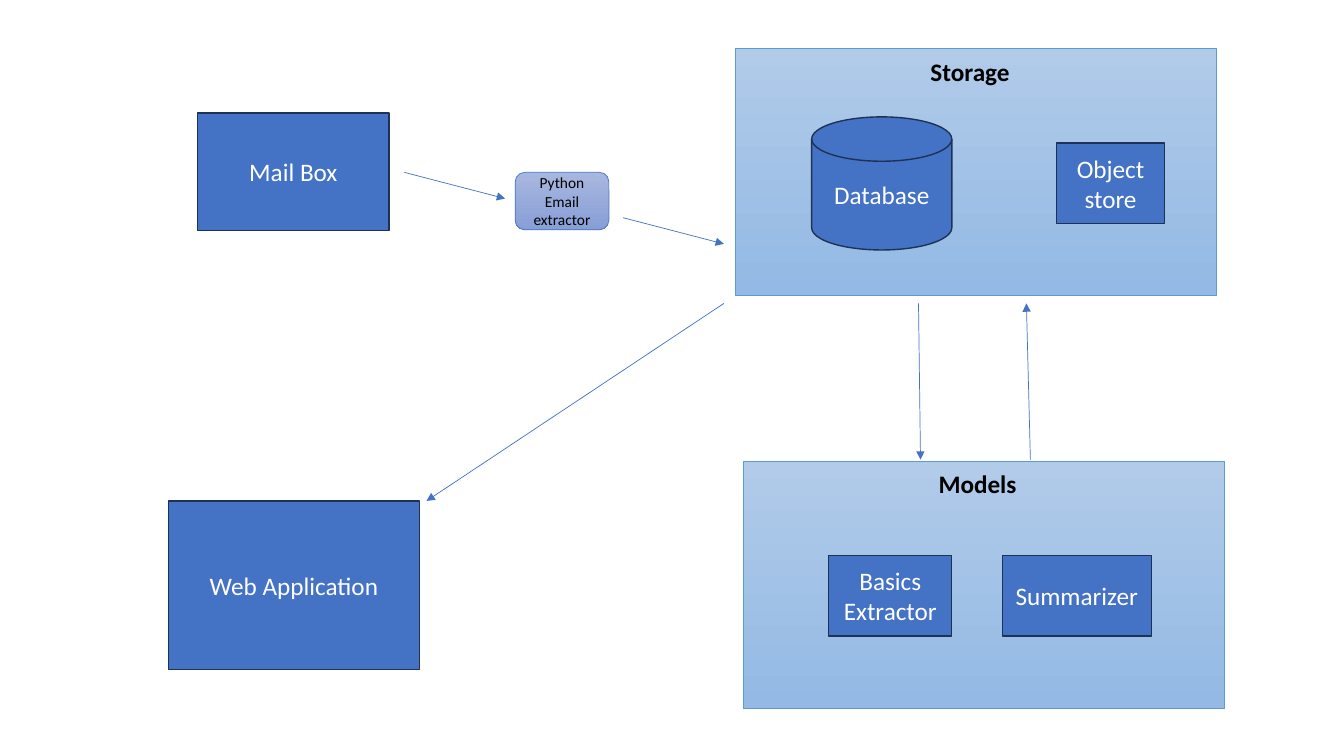
from lxml import etree
from pptx import Presentation
from pptx.dml.color import RGBColor
from pptx.enum.shapes import MSO_CONNECTOR, MSO_SHAPE
from pptx.enum.text import MSO_ANCHOR, PP_ALIGN
from pptx.oxml.ns import qn
from pptx.util import Inches, Pt

RECTANGLE = MSO_SHAPE.RECTANGLE
CYLINDER = MSO_SHAPE.FLOWCHART_MAGNETIC_DISK
ROUNDED = MSO_SHAPE.FLOWCHART_ALTERNATE_PROCESS
STRAIGHT = MSO_CONNECTOR.STRAIGHT
CENTER, LEFT = PP_ALIGN.CENTER, PP_ALIGN.LEFT
MIDDLE, TOP = MSO_ANCHOR.MIDDLE, MSO_ANCHOR.TOP

BLUE = "4472C4"
FONT = "Calibri"

# Fill holds one colour, or the top and bottom colours of a gradient
STYLES = {
    "panel": {"fill": ["B1CBE9", "93B9E4"], "line": "5B9BD5", "width": 0.5},
    "node": {"fill": [BLUE], "line": "1E3256", "width": 1,
             "font": {"size": Pt(18)}, "color": "FFFFFF"},
    "step": {"fill": ["A8B7DF", "889ED7"], "line": BLUE, "width": 0.5,
             "font": {"size": Pt(11)}, "color": "000000"},
}
HEADING_FONT = {"size": Pt(18), "bold": True}

PANEL_SIZE = (4.77, 2.45)
HEADING_SIZE = (1.09, 0.4)
# Heading, panel position, heading position
PANELS = [
    ("Storage", (7.29, 0.48), (9.13, 0.51)),
    ("Models", (7.37, 4.58), (9.21, 4.6)),
]

# Text, style, preset, (left, top, width, height)
NODES = [
    ("Mail Box", "node", RECTANGLE, (1.96, 1.12, 1.9, 1.17)),
    ("Database", "node", CYLINDER, (8.05, 1.16, 1.39, 1.32)),
    ("Object store", "node", RECTANGLE, (10.48, 1.42, 1.07, 0.8)),
    ("Basics Extractor", "node", RECTANGLE, (8.22, 5.51, 1.22, 0.8)),
    ("Summarizer", "node", RECTANGLE, (9.94, 5.51, 1.48, 0.8)),
    ("Web Application", "node", RECTANGLE, (1.67, 4.97, 2.49, 1.67)),
    ("Python Email extractor", "step", ROUNDED, (5.11, 1.71, 0.93, 0.57)),
]

# Start x, start y, end x, end y
ARROWS = {
    "mail box to extractor": (4.01, 1.71, 5.01, 1.97),
    "extractor to storage": (6.18, 2.16, 7.18, 2.42),
    "storage to models": (9.11, 3.01, 9.13, 4.56),
    "models to storage": (10.22, 4.56, 10.18, 3.01),
    "storage to web application": (7.18, 3.01, 4.23, 4.97),
}


def rgb(value):
    return RGBColor.from_string(value)


def inches(values):
    return [Inches(value) for value in values]


def write(shape, text, font_format, color, alignment, anchor):
    frame = shape.text_frame
    frame.word_wrap = True
    frame.vertical_anchor = anchor
    paragraph = frame.paragraphs[0]
    paragraph.alignment = alignment
    run = paragraph.add_run()
    run.text = text
    run.font.name = FONT
    run.font.color.rgb = rgb(color)
    for name, value in font_format.items():
        setattr(run.font, name, value)


def add_box(slide, preset, bounds, style):
    shape = slide.shapes.add_shape(preset, *inches(bounds))
    shape.shadow.inherit = False
    colors = style["fill"]
    if len(colors) == 1:
        shape.fill.solid()
        shape.fill.fore_color.rgb = rgb(colors[0])
    else:
        shape.fill.gradient()
        shape.fill.gradient_angle = 270  # counter-clockwise: top to bottom
        for stop, color in zip(shape.fill.gradient_stops, colors):
            stop.color.rgb = rgb(color)
    shape.line.color.rgb = rgb(style["line"])
    shape.line.width = Pt(style["width"])
    return shape


def add_panel(slide, heading, position, heading_position):
    add_box(slide, RECTANGLE, position + PANEL_SIZE, STYLES["panel"])
    label = slide.shapes.add_textbox(*inches(heading_position + HEADING_SIZE))
    write(label, heading, HEADING_FONT, "000000", LEFT, TOP)


def add_arrow(slide, points):
    connector = slide.shapes.add_connector(STRAIGHT, *inches(points))
    connector.line.color.rgb = rgb(BLUE)
    connector.line.width = Pt(0.5)
    line = connector.line._get_or_add_ln()
    etree.SubElement(line, qn("a:tailEnd"), type="triangle")
    etree.SubElement(connector._element.spPr, qn("a:effectLst"))


def main():
    presentation = Presentation()
    presentation.slide_width, presentation.slide_height = inches((13.33, 7.5))
    slide = presentation.slides.add_slide(presentation.slide_layouts[6])
    for panel in PANELS:
        add_panel(slide, *panel)
    for text, style_name, preset, bounds in NODES:
        style = STYLES[style_name]
        shape = add_box(slide, preset, bounds, style)
        write(shape, text, style["font"], style["color"], CENTER, MIDDLE)
    for points in ARROWS.values():
        add_arrow(slide, points)
    presentation.save("out.pptx")


if __name__ == "__main__":
    main()
